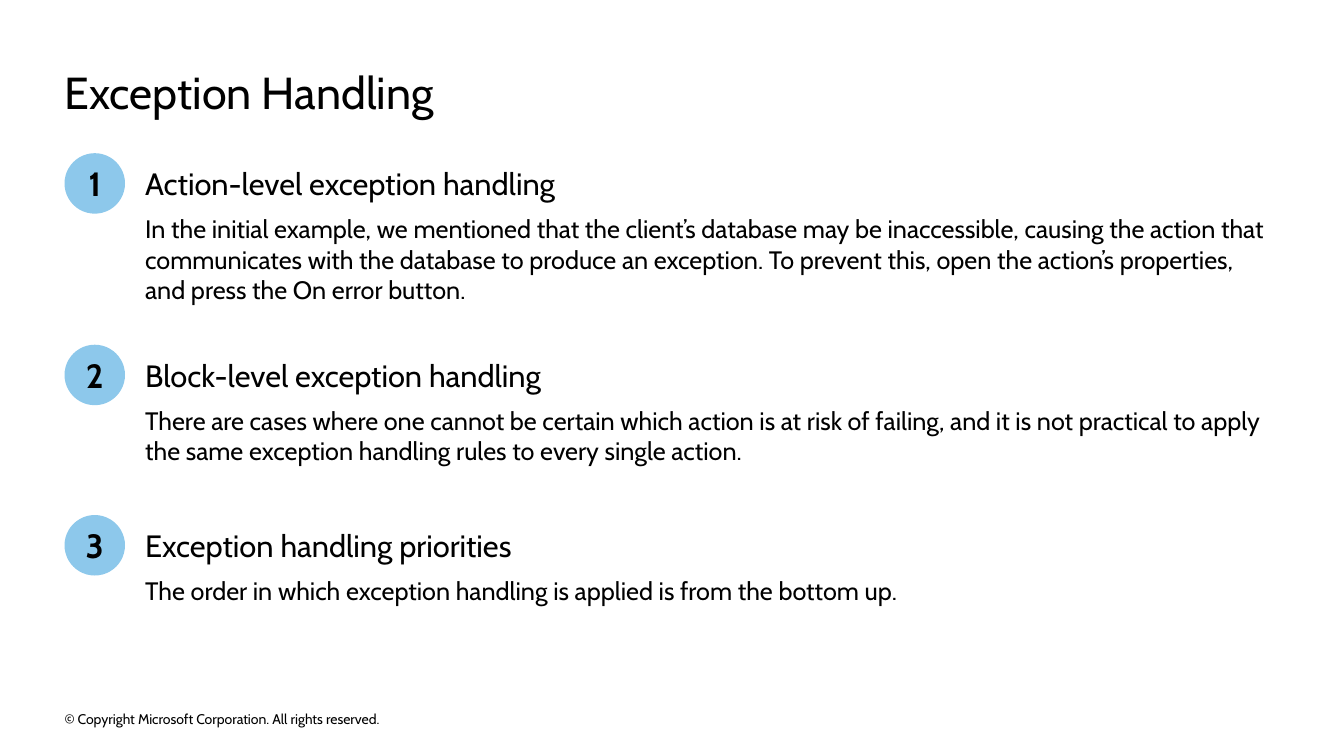
from pptx import Presentation
from pptx.dml.color import RGBColor
from pptx.enum.shapes import MSO_SHAPE
from pptx.enum.text import MSO_ANCHOR, MSO_AUTO_SIZE, PP_ALIGN
from pptx.util import Inches, Pt

OVAL = MSO_SHAPE.OVAL
TOP, MIDDLE = MSO_ANCHOR.TOP, MSO_ANCHOR.MIDDLE
NO_FIT = MSO_AUTO_SIZE.NONE
LEFT, CENTER = PP_ALIGN.LEFT, PP_ALIGN.CENTER

BLACK = RGBColor(0x00, 0x00, 0x00)
SKY = RGBColor(0x8D, 0xC8, 0xEB)
FONT = "Cabin"

# Grid in inches
MARGIN, CONTENT_W = 0.64, 12.04
BADGE, INDENT = 0.6, 0.8
HEADING_H, LINE_H = 0.37, 0.3

# Top, heading, body, number of body lines
TOPICS = [
    (1.52, "Action-level exception handling",
     "In the initial example, we mentioned that the client’s database may be "
     "inaccessible, causing the action that communicates with the database to "
     "produce an exception. To prevent this, open the action’s properties, "
     "and press the On error button.", 3),
    (3.42, "Block-level exception handling",
     "There are cases where one cannot be certain which action is at risk of "
     "failing, and it is not practical to apply the same exception handling "
     "rules to every single action.", 2),
    (5.11, "Exception handling priorities",
     "The order in which exception handling is applied is from the bottom up.", 1),
]


def write(shape, text, size, bold=False, align=LEFT, anchor=MIDDLE):
    tf = shape.text_frame
    frame = dict(margin_left=0, margin_top=0, margin_right=0, margin_bottom=0,
                 word_wrap=True, auto_size=NO_FIT, vertical_anchor=anchor)
    for name, value in frame.items():
        setattr(tf, name, value)
    p = tf.paragraphs[0]
    p.alignment = align
    r = p.add_run()
    r.text = text
    for name, value in dict(name=FONT, size=Pt(size), bold=bold).items():
        setattr(r.font, name, value)
    r.font.color.rgb = BLACK


def add_text(s, box, text, size):
    write(s.shapes.add_textbox(*map(Inches, box)), text, size)


def add_title(s, box, text):
    title = s.shapes.title
    for name, value in zip(("left", "top", "width", "height"), box):
        setattr(title, name, Inches(value))
    write(title, text, 32, anchor=TOP)


def add_topic(s, box, number, heading, body):
    x, y, w, h = box
    # Numbered badge
    badge = s.shapes.add_shape(OVAL, *map(Inches, (x, y, BADGE, BADGE)))
    badge.shadow.inherit = False
    badge.fill.solid()
    badge.fill.fore_color.rgb = SKY
    badge.line.fill.background()
    write(badge, str(number), 24, bold=True, align=CENTER)
    # Heading centred on the badge, body below it
    text_x, text_w = x + INDENT, w - INDENT
    heading_y = y + (BADGE - HEADING_H) / 2
    add_text(s, (text_x, heading_y, text_w, HEADING_H), heading, 22)
    add_text(s, (text_x, y + BADGE, text_w, h - BADGE), body, 18)


def main():
    prs = Presentation()
    prs.slide_width, prs.slide_height = Inches(13.33), Inches(7.5)
    s = prs.slides.add_slide(prs.slide_layouts[5])

    add_title(s, (MARGIN, 0.64, CONTENT_W, 0.54), "Exception Handling")
    for number, (top, heading, body, lines) in enumerate(TOPICS, 1):
        box = (MARGIN, top, CONTENT_W, BADGE + lines * LINE_H)
        add_topic(s, box, number, heading, body)

    # Footer
    add_text(s, (MARGIN, 7.02, 4.54, 0.22),
             "© Copyright Microsoft Corporation. All rights reserved.", 10)
    prs.save("out.pptx")


if __name__ == "__main__":
    main()
